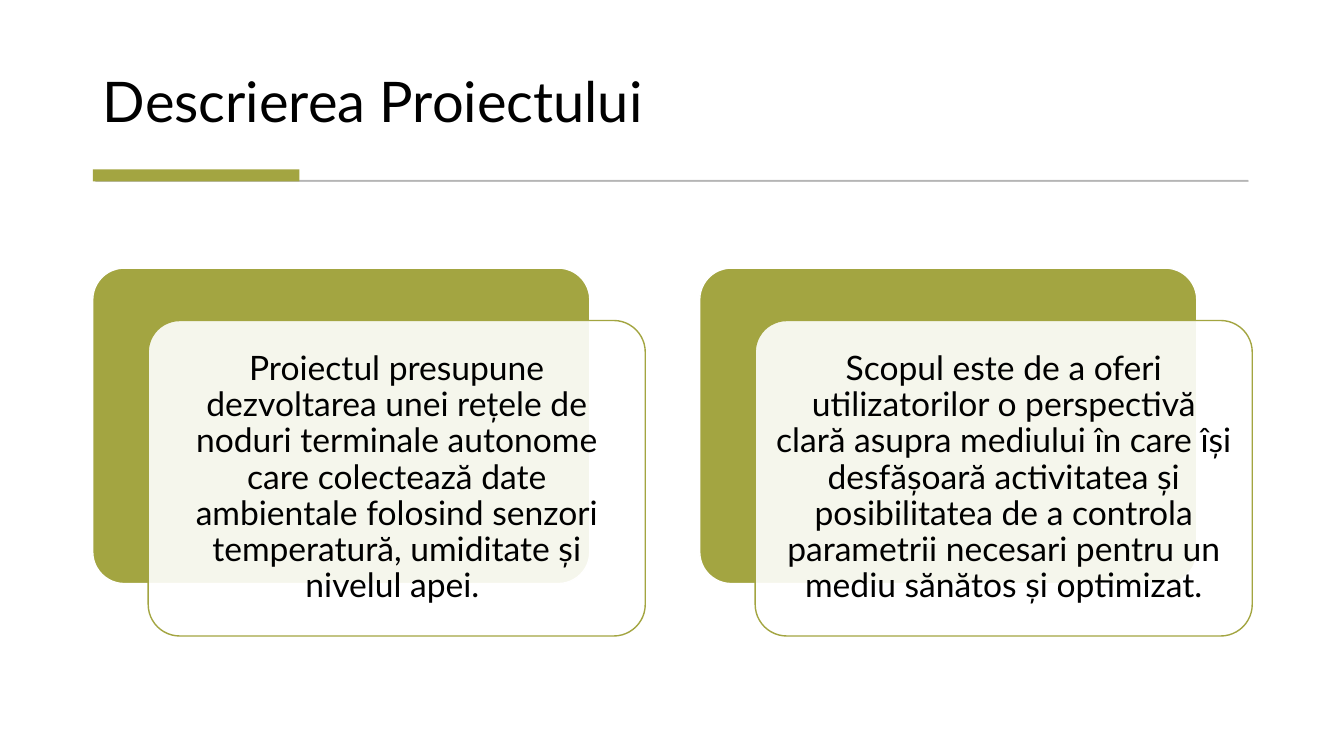
from pptx import Presentation
from pptx.dml.color import RGBColor
from pptx.enum import shapes, text
from pptx.oxml.ns import qn
from pptx.util import Inches, Pt
from lxml import etree

# Content
TITLE = "Descrierea Proiectului"
CARDS = [
    "Proiectul presupune dezvoltarea unei rețele de noduri terminale autonome "
    "care colectează date ambientale folosind senzori temperatură, umiditate "
    "și nivelul apei. ",
    "Scopul este de a oferi utilizatorilor o perspectivă clară asupra mediului "
    "în care își desfășoară activitatea și posibilitatea de a controla "
    "parametrii necesari pentru un mediu sănătos și optimizat.",
]

# Style
OLIVE = RGBColor(0xA3, 0xA5, 0x41)
WHITE = RGBColor(0xFF, 0xFF, 0xFF)
BLACK = RGBColor(0, 0, 0)
GREY = RGBColor(0x59, 0x59, 0x59)
FONT = "Lato"
RECT = shapes.MSO_SHAPE.RECTANGLE
ROUND = shapes.MSO_SHAPE.ROUNDED_RECTANGLE

# Layout, in inches
LEFT, TOP = 0.92, 2.66
CARD_W, CARD_H = 4.93, 3.13
STEP = 6.02
SHIFT_X, SHIFT_Y = 0.55, 0.52


def fade(fill, alpha):
    """Make a solid fill alpha percent opaque."""
    color = fill._xPr.find(qn("a:solidFill"))[0]
    etree.SubElement(color, qn("a:alpha"), val=str(alpha * 1000))


def draw(slide, kind, box, fill, line=None, width=1, alpha=100, line_alpha=100):
    shape = slide.shapes.add_shape(kind, *map(Inches, box))
    shape.shadow.inherit = False
    shape.fill.solid()
    shape.fill.fore_color.rgb = fill
    if alpha < 100:
        fade(shape.fill, alpha)
    if line is None:
        shape.line.fill.background()
    else:
        shape.line.color.rgb = line
        shape.line.width = Pt(width)
        if line_alpha < 100:
            fade(shape.line.fill, line_alpha)
    if kind == ROUND:
        shape.adjustments[0] = 0.1
    return shape


def write(shape, words, size, anchor, align):
    frame = shape.text_frame
    frame.text = words
    para = frame.paragraphs[0]
    margins = {"margin_" + side: Inches(0.1) for side in ("left", "right")}
    formats = [
        (frame, {"word_wrap": True, "vertical_anchor": anchor,
                 "auto_size": text.MSO_AUTO_SIZE.NONE, **margins}),
        (para, {"alignment": align, "line_spacing": 0.9}),
        (para.runs[0].font, {"name": FONT, "size": Pt(size)}),
    ]
    for target, values in formats:
        for name, value in values.items():
            setattr(target, name, value)
    para.runs[0].font.color.rgb = BLACK


def main():
    deck = Presentation()
    deck.slide_width, deck.slide_height = Inches(13.33), Inches(7.5)
    slide = deck.slides.add_slide(deck.slide_layouts[5])

    # Title
    title = slide.shapes.title
    title.left, title.top, title.width, title.height = map(
        Inches, (LEFT, 0.28, 11.49, 1.11))
    write(title, TITLE, 40, text.MSO_ANCHOR.BOTTOM, text.PP_ALIGN.LEFT)

    # Rule with accent bar
    draw(slide, RECT, (0.95, 1.79, 11.43, 0.01), GREY, GREY, 0.75, 30, 30)
    draw(slide, RECT, (LEFT, 1.68, 2.05, 0.12), OLIVE)

    # Cards, each over an olive panel
    for i, words in enumerate(CARDS):
        x = LEFT + i * STEP
        draw(slide, ROUND, (x, TOP, CARD_W, CARD_H), OLIVE, WHITE)
        card = draw(slide, ROUND, (x + SHIFT_X, TOP + SHIFT_Y, CARD_W, CARD_H),
                    WHITE, OLIVE, alpha=90)
        write(card, words, 24, text.MSO_ANCHOR.MIDDLE, text.PP_ALIGN.CENTER)

    deck.save("out.pptx")


if __name__ == "__main__":
    main()
